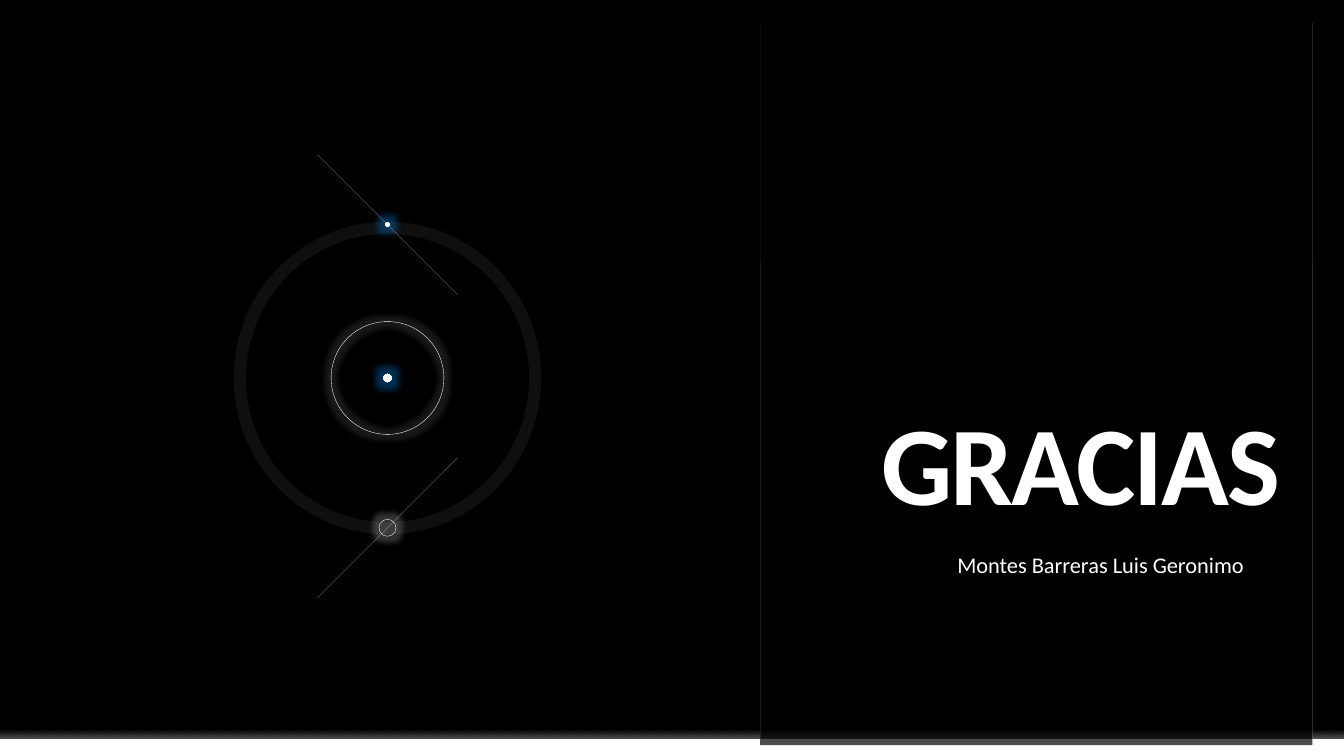
"""Build a dark closing slide with a glowing orbit and a thank-you title."""
from dataclasses import dataclass

from lxml import etree
from pptx import Presentation
from pptx.dml.color import RGBColor
from pptx.enum.shapes import MSO_CONNECTOR, MSO_SHAPE
from pptx.enum.text import MSO_ANCHOR, PP_ALIGN
from pptx.oxml.ns import qn
from pptx.util import Pt

RECT, OVAL = MSO_SHAPE.RECTANGLE, MSO_SHAPE.OVAL
STRAIGHT = MSO_CONNECTOR.STRAIGHT
TOP, BOTTOM = MSO_ANCHOR.TOP, MSO_ANCHOR.BOTTOM
RIGHT = PP_ALIGN.RIGHT


@dataclass(frozen=True)
class Theme:
    font: str = "Calibri"
    black: str = "000000"
    white: str = "FFFFFF"
    edge: str = "F2F2F2"
    ray: str = "E7E6E6"
    blue: str = "0078D2"
    core: tuple = ((0, "FFFFFF", 100), (65, "F7FFFF", 100), (70, "C1E4FF", 100))
    fade: tuple = ((40, "FFFFFF", 0), (100, "FFFFFF", 35))
    title: float = 80
    name: float = 16


def add_child(parent, tag, **attrs):
    return etree.SubElement(parent, qn(tag), {k: str(v) for k, v in attrs.items()})


def add_color(parent, color, alpha):
    clr = add_child(parent, "a:srgbClr", val=color)
    add_child(clr, "a:alpha", val=alpha * 1000)


def paint(fill, parent, color, alpha):
    fill.solid()
    fill.fore_color.rgb = RGBColor.from_string(color)
    clr = parent.find(qn("a:solidFill")).find(qn("a:srgbClr"))
    add_child(clr, "a:alpha", val=alpha * 1000)


def write(tf, text, *, size, font, color, bold=False, align=RIGHT, before=0, spacing=0):
    p = tf.paragraphs[0]
    p.alignment, p.line_spacing, p.space_before = align, 0.9, Pt(before)
    r = p.add_run()
    r.text = text
    r.font.name, r.font.size, r.font.bold = font, Pt(size), bold
    r.font.color.rgb = RGBColor.from_string(color)
    if spacing:
        r.font._element.set("spc", str(int(spacing * 100)))


class Deck:
    def __init__(self, theme, width, height):
        self.theme = theme
        self.prs = Presentation()
        self.prs.slide_width, self.prs.slide_height = Pt(width), Pt(height)
        self.s = self.prs.slides.add_slide(self.prs.slide_layouts[6])
        bg = self.s.background.fill
        bg.solid()
        bg.fore_color.rgb = RGBColor.from_string(theme.black)

    def shape(self, kind, x, y, w, h, fill=None, alpha=100):
        sp = self.s.shapes.add_shape(kind, Pt(x), Pt(y), Pt(w), Pt(h))
        sp.shadow.inherit = False
        sp.line.fill.background()
        if fill:
            paint(sp.fill, sp._element.spPr, fill, alpha)
        else:
            sp.fill.background()
        return sp

    def gradient(self, sp, stops, radial=False):
        spPr = sp._element.spPr
        grad = etree.Element(qn("a:gradFill"))
        stop_list = add_child(grad, "a:gsLst")
        for pos, color, alpha in stops:
            add_color(add_child(stop_list, "a:gs", pos=pos * 1000), color, alpha)
        if radial:
            route = add_child(grad, "a:path", path="circle")
            add_child(route, "a:fillToRect", l=50000, t=50000, r=50000, b=50000)
        else:
            add_child(grad, "a:lin", ang=5400000, scaled=0)
        spPr.replace(spPr.find(qn("a:noFill")), grad)

    def glow(self, sp, color, radius, alpha):
        effects = sp._element.spPr.find(qn("a:effectLst"))
        add_color(add_child(effects, "a:glow", rad=int(Pt(radius))), color, alpha)

    def ring(self, cx, cy, w, h, weight, alpha=100):
        sp = self.shape(OVAL, cx - w / 2, cy - h / 2, w, h)
        sp.line.width = Pt(weight)
        paint(sp.line.fill, sp.line._get_or_add_ln(), self.theme.white, alpha)
        return sp

    def dot(self, cx, cy, d):
        sp = self.shape(OVAL, cx - d / 2, cy - d / 2, d, d)
        self.gradient(sp, self.theme.core, radial=True)
        self.glow(sp, self.theme.blue, 10, 40)

    def line(self, x1, y1, x2, y2, color, weight, alpha):
        cxn = self.s.shapes.add_connector(STRAIGHT, Pt(x1), Pt(y1), Pt(x2), Pt(y2))
        cxn.line.width = Pt(weight)
        paint(cxn.line.fill, cxn.line._get_or_add_ln(), color, alpha)
        add_child(cxn._element.spPr, "a:effectLst")

    def text(self, x, y, w, h, text, anchor=TOP, **fmt):
        tf = self.s.shapes.add_textbox(Pt(x), Pt(y), Pt(w), Pt(h)).text_frame
        tf.word_wrap, tf.vertical_anchor = True, anchor
        tf.margin_left = tf.margin_right = tf.margin_top = tf.margin_bottom = 0
        write(tf, text, font=self.theme.font, color=self.theme.white, **fmt)


def main():
    t = Theme()
    width, height = 960, 540
    deck = Deck(t, width, height)

    floor, band = 528, 12
    deck.gradient(deck.shape(RECT, 0, floor - band, width, band), t.fade)
    deck.shape(RECT, 0, floor, width, band, t.white)

    left, right, top, split = 543, 937.5, 16.5, 187.2
    deck.shape(RECT, left, split, right - left, 345, t.black, 70)
    for _ in range(2):
        deck.shape(RECT, left, top, right - left, split - top, t.black, 94)
        for x in (right, right, left):
            deck.line(x, top, x, floor, t.edge, 0.25, 15)

    cx, cy = 276.8, 270
    deck.glow(deck.ring(cx, cy, 80.6, 80.6, 0.25), t.white, 8, 10)
    deck.dot(cx, cy, 6)
    deck.ring(cx, cy, 211, 214.6, 8.75, 6)
    deck.dot(cx, 160.4, 3)
    deck.glow(deck.ring(cx, 377, 12.2, 12.2, 0.25), t.white, 8, 20)

    reach = 50
    for mid, slope in ((377, -1), (160.4, 1)):
        deck.line(cx - reach, mid - slope * reach, cx + reach, mid + slope * reach,
                  t.ray, 0.5, 30)

    deck.text(563.8, 208, 350.6, 170.6, "GRACIAS", BOTTOM,
              size=t.title, bold=True, spacing=-1.5)
    deck.text(563.8, 396, 324.7, 21.6, "Montes Barreras Luis Geronimo",
              size=t.name, before=10)
    deck.prs.save("out.pptx")


if __name__ == "__main__":
    main()
